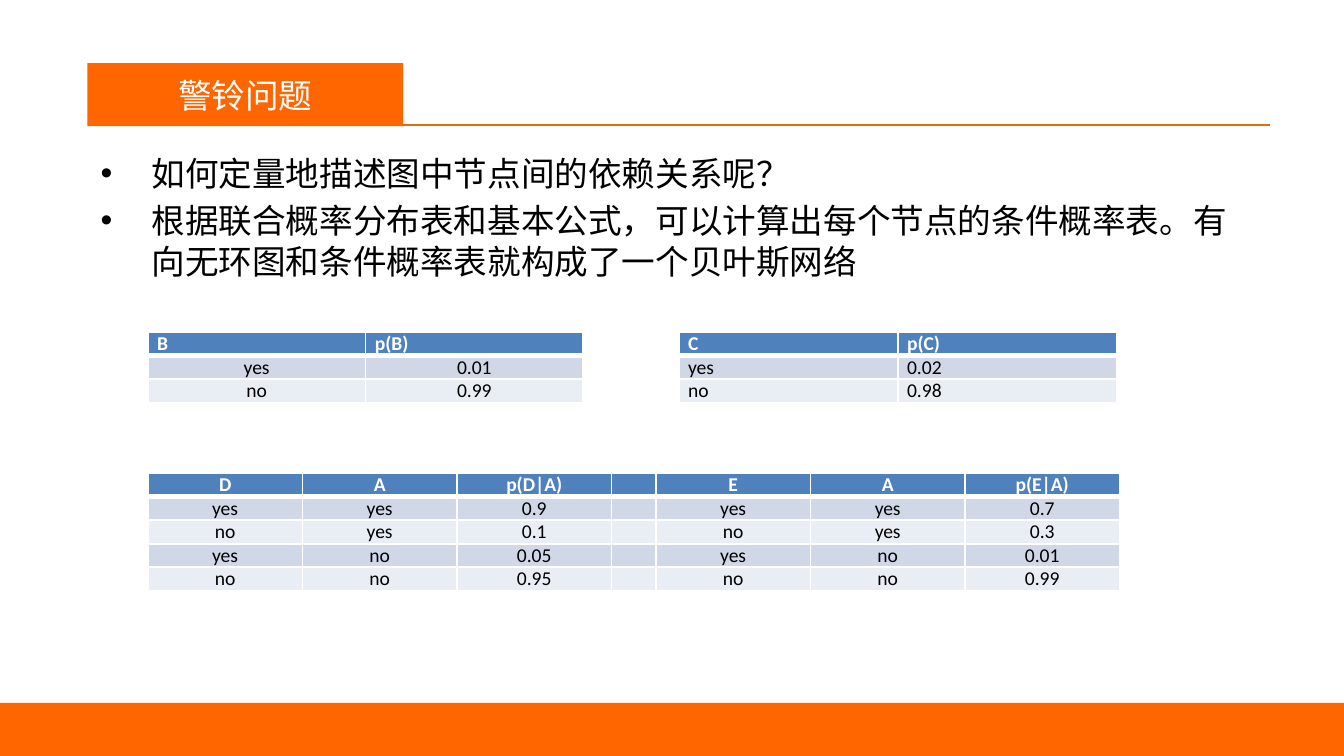
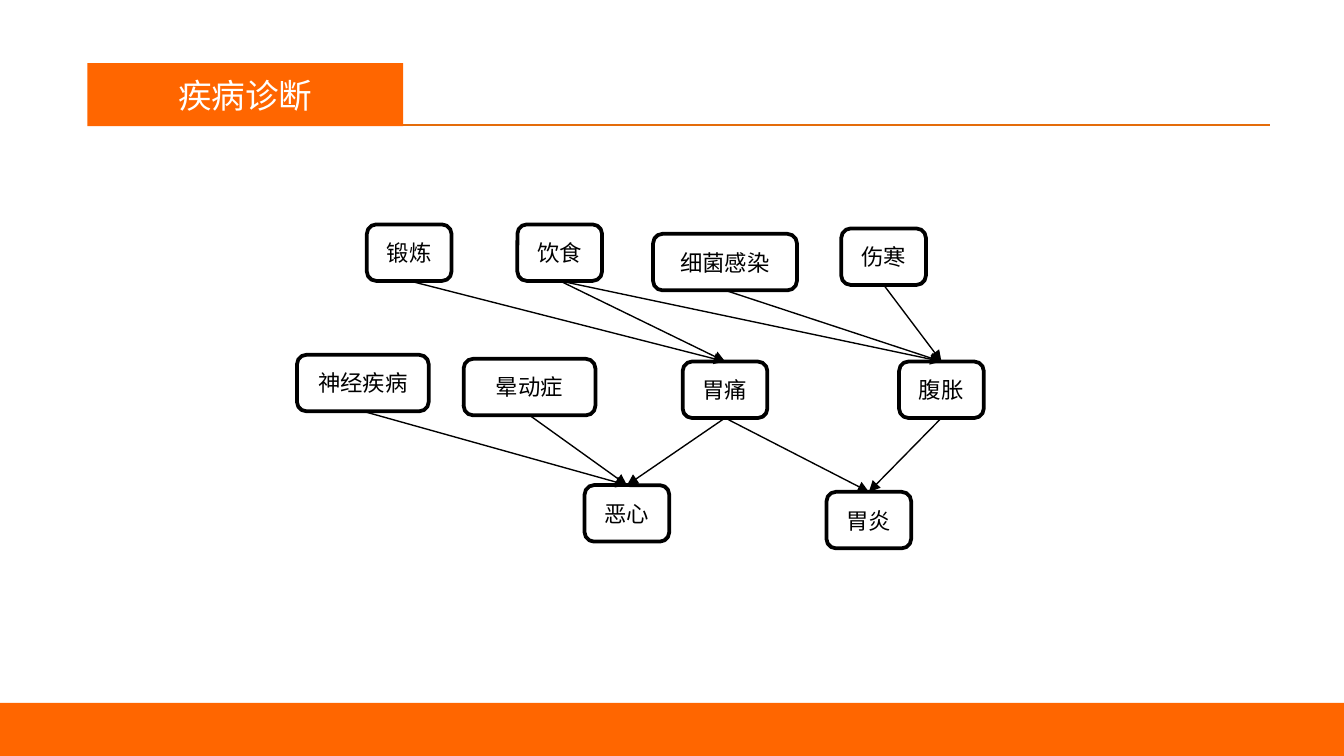
import dataclasses
import lxml.etree
import pptx
import pptx.dml.color
import pptx.enum.shapes
import pptx.enum.text
import pptx.oxml.ns
import pptx.util

Inches = pptx.util.Inches
Pt = pptx.util.Pt
qn = pptx.oxml.ns.qn
ALIGN = pptx.enum.text.PP_ALIGN
MIDDLE = pptx.enum.text.MSO_ANCHOR.MIDDLE
SHAPE = pptx.enum.shapes.MSO_SHAPE
STRAIGHT = pptx.enum.shapes.MSO_CONNECTOR.STRAIGHT

COLORS = {
    "band": "FF6600",
    "rule": "E46C0A",
    "head": "4F81BD",
    "odd": "D0D8E8",
    "even": "E9EDF4",
    "white": "FFFFFF",
    "black": "000000",
}
LATIN = "Calibri"
CJK = "Noto Sans CJK SC"
WIDE = Inches(10)
HIGH = WIDE * 9 // 16
ROW = 0.17
BOTTOM, TOP = 2, 0


@dataclasses.dataclass
class Grid:
    left: float
    top: float
    widths: list[float]
    rows: list[list[str]]
    head: ALIGN = ALIGN.CENTER
    body: ALIGN = ALIGN.CENTER


@dataclasses.dataclass
class Node:
    name: str
    left: float
    top: float
    width: float = 0.63
    height: float = 0.42


POINTS = [
    "如何定量地描述图中节点间的依赖关系呢？",
    "根据联合概率分布表和基本公式，可以计算出每个节点的条件概率表。"
    "有向无环图和条件概率表就构成了一个贝叶斯网络",
]

GRIDS = [
    Grid(1.1, 2.47, [1.62] * 2,
         [["B", "p(B)"], ["yes", "0.01"], ["no", "0.99"]],
         head=ALIGN.JUSTIFY),
    Grid(5.05, 2.47, [1.63] * 2,
         [["C", "p(C)"], ["yes", "0.02"], ["no", "0.98"]],
         head=ALIGN.JUSTIFY, body=ALIGN.JUSTIFY),
    Grid(1.1, 3.52, [1.15] * 3 + [0.33] + [1.15] * 3,
         [["D", "A", "p(D|A)", "", "E", "A", "p(E|A)"],
          ["yes", "yes", "0.9", "", "yes", "yes", "0.7"],
          ["no", "yes", "0.1", "", "no", "yes", "0.3"],
          ["yes", "no", "0.05", "", "yes", "no", "0.01"],
          ["no", "no", "0.95", "", "no", "no", "0.99"]]),
]

NODES = [
    Node("锻炼", 2.73, 1.67),
    Node("饮食", 3.85, 1.67),
    Node("细菌感染", 4.86, 1.74, 1.07),
    Node("伤寒", 6.26, 1.7),
    Node("神经疾病", 2.21, 2.64, 0.98),
    Node("晕动症", 3.45, 2.67, 0.98),
    Node("胃痛", 5.08, 2.69),
    Node("腹胀", 6.69, 2.69),
    Node("恶心", 4.35, 3.61),
    Node("胃炎", 6.15, 3.66),
]

CAUSES = {
    "胃痛": ["锻炼", "饮食"],
    "腹胀": ["饮食", "细菌感染", "伤寒"],
    "恶心": ["神经疾病", "晕动症", "胃痛"],
    "胃炎": ["胃痛", "腹胀"],
}


def tint(key: str) -> pptx.dml.color.RGBColor:
    return pptx.dml.color.RGBColor.from_string(COLORS[key])


def style(para, size: float, key: str, face: str = LATIN, bold: bool = False) -> None:
    for run in para.runs:
        font = run.font
        font.size, font.name, font.bold = Pt(size), face, bold
        font.color.rgb = tint(key)
        lxml.etree.SubElement(font._element, qn("a:ea"), typeface=CJK)


def box(slide, kind: SHAPE, left: float, top: float, width: float,
        height: float, fill: str, edge: str | None = None):
    shape = slide.shapes.add_shape(
        kind, Inches(left), Inches(top), Inches(width), Inches(height))
    shape.shadow.inherit = False
    shape.fill.solid()
    shape.fill.fore_color.rgb = tint(fill)
    if edge:
        shape.line.color.rgb = tint(edge)
        shape.line.width = Pt(2)
    else:
        shape.line.fill.background()
    return shape


def label(shape, text: str, size: float, key: str, face: str) -> None:
    frame = shape.text_frame
    frame.text = text
    frame.vertical_anchor = MIDDLE
    para = frame.paragraphs[0]
    para.alignment = ALIGN.CENTER
    style(para, size, key, face)


def line(slide, key: str, start: tuple = (0, 0), end: tuple = (0, 0)):
    link = slide.shapes.add_connector(
        STRAIGHT, *(Inches(value) for value in (*start, *end)))
    link.line.color.rgb = tint(key)
    link.line.width = Pt(0.75)
    lxml.etree.SubElement(link._element.spPr, qn("a:effectLst"))
    return link


def arrow(slide, source, target) -> None:
    link = line(slide, "black")
    link.begin_connect(source, BOTTOM)
    link.end_connect(target, TOP)
    lxml.etree.SubElement(link.line._ln, qn("a:tailEnd"), type="triangle")


def page(deck, title: str):
    """Add a slide with the shared title tab, rule and footer band."""
    slide = deck.slides.add_slide(deck.slide_layouts[6])
    line(slide, "rule", (0.82, 0.93), (9.45, 0.93))
    box(slide, SHAPE.RECTANGLE, 0, 5.23, 10, 0.4, "band")
    tab = box(slide, SHAPE.RECTANGLE, 0.65, 0.47, 2.35, 0.47, "band")
    label(tab, title, 18, "white", LATIN)
    return slide


def bullets(slide, items: list[str]) -> None:
    frame = slide.shapes.add_textbox(
        Inches(0.65), Inches(1.09), Inches(8.8), Inches(1.07)).text_frame
    frame.word_wrap = True
    frame.text = "\n".join(items)
    for para in frame.paragraphs:
        para.space_before = Pt(3.6)
        props = para._p.get_or_add_pPr()
        props.set("marL", str(Inches(0.38)))
        props.set("indent", str(-Inches(0.38)))
        lxml.etree.SubElement(props, qn("a:buFont"), typeface="Arial")
        lxml.etree.SubElement(props, qn("a:buChar"), char="•")
        style(para, 18, "black")


def border(cell, row: int) -> None:
    """Draw white cell edges, thick between the header and the body."""
    widths = {"L": 1, "R": 1, "T": 3 if row == 1 else 1, "B": 1 if row else 3}
    props = cell._tc.get_or_add_tcPr()
    for side, width in widths.items():
        edge = lxml.etree.SubElement(props, qn(f"a:ln{side}"), w=str(Pt(width)))
        fill = lxml.etree.SubElement(edge, qn("a:solidFill"))
        lxml.etree.SubElement(fill, qn("a:srgbClr"), val=COLORS["white"])


def table(slide, grid: Grid) -> None:
    count = len(grid.rows)
    item = slide.shapes.add_table(
        count, len(grid.widths), Inches(grid.left), Inches(grid.top),
        Inches(sum(grid.widths)), Inches(ROW * count)).table
    for col, width in zip(item.columns, grid.widths):
        col.width = Inches(width)
    for row, texts in enumerate(grid.rows):
        item.rows[row].height = Inches(ROW)
        fill = ("odd" if row % 2 else "even") if row else "head"
        for col, text in enumerate(texts):
            cell = item.cell(row, col)
            cell.margin_left = cell.margin_right = Inches(0.07)
            cell.margin_top = cell.margin_bottom = 0
            border(cell, row)
            cell.fill.solid()
            cell.fill.fore_color.rgb = tint(fill)
            cell.text_frame.text = text
            para = cell.text_frame.paragraphs[0]
            para.alignment = grid.body if row else grid.head
            style(para, 10.5, "black" if row else "white", bold=row == 0)
            if not text:
                lxml.etree.SubElement(para._p, qn("a:endParaRPr"), sz="1050")


def alarm(deck) -> None:
    slide = page(deck, "警铃问题")
    bullets(slide, POINTS)
    for grid in GRIDS:
        table(slide, grid)


def illness(deck) -> None:
    slide = page(deck, "疾病诊断")
    shapes = {}
    for node in NODES:
        shape = box(slide, SHAPE.ROUNDED_RECTANGLE, node.left, node.top,
                    node.width, node.height, "white", "black")
        label(shape, node.name, 12, "black", CJK)
        shapes[node.name] = shape
    for effect, causes in CAUSES.items():
        for cause in causes:
            arrow(slide, shapes[cause], shapes[effect])


def main() -> None:
    deck = pptx.Presentation()
    deck.slide_width, deck.slide_height = WIDE, HIGH
    alarm(deck)
    illness(deck)
    deck.save("out.pptx")


if __name__ == "__main__":
    main()
